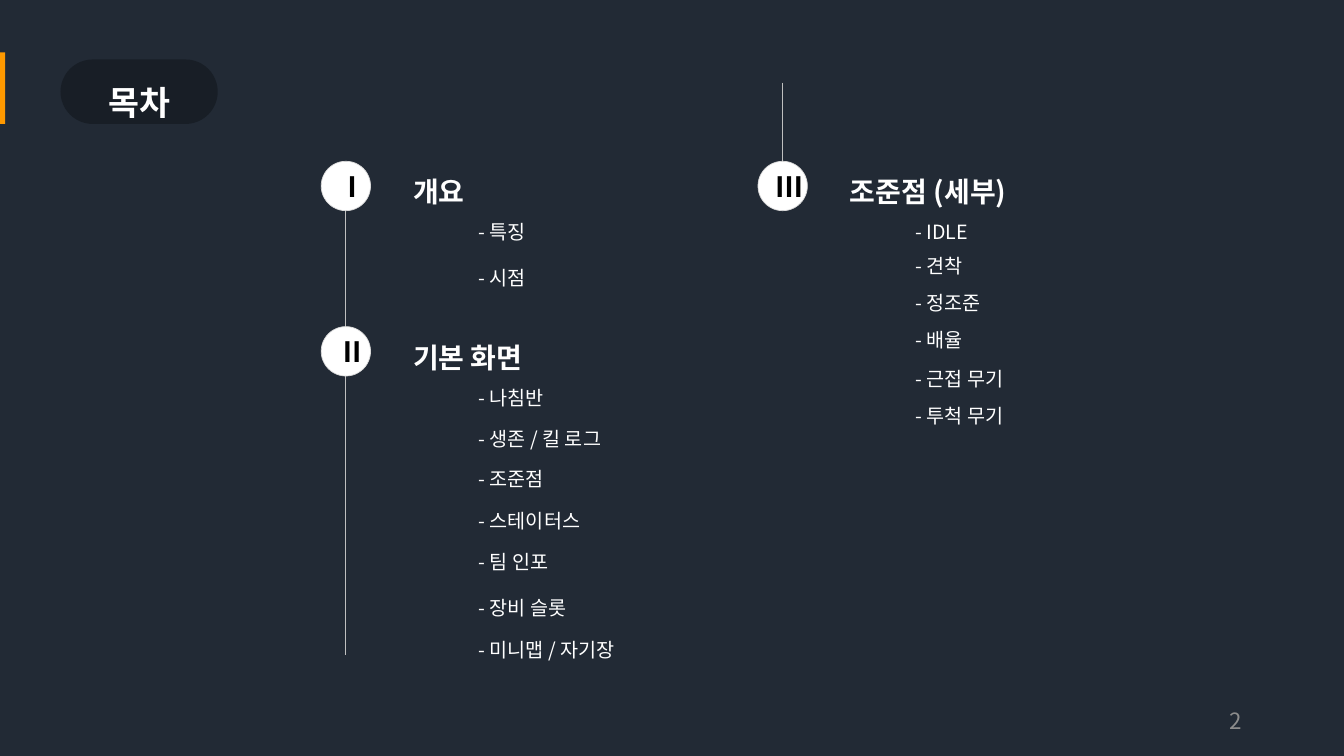
from lxml.etree import SubElement
from pptx import Presentation
from pptx.dml.color import RGBColor
from pptx.enum.shapes import MSO_CONNECTOR as Connector, MSO_SHAPE as Shape
from pptx.enum.text import MSO_ANCHOR as Anchor, MSO_AUTO_SIZE as AutoSize, PP_ALIGN as Align
from pptx.oxml.ns import qn
from pptx.util import Inches, Pt

NAVY = RGBColor(0x22, 0x2A, 0x35)
DARK = RGBColor(0x18, 0x1E, 0x26)
ORANGE = RGBColor(0xFF, 0x99, 0x00)
WHITE = RGBColor(0xFF, 0xFF, 0xFF)
BLACK = RGBColor(0, 0, 0)
RULE_GRAY = RGBColor(0xBF, 0xBF, 0xBF)
RIM_GRAY = RGBColor(0xD9, 0xD9, 0xD9)
NUMBER_GRAY = RGBColor(0x8C, 0x8C, 0x8C)

COLUMNS, ROWS = 40, 30
SECOND_HALF = 13  # columns between the left and the right half of the contents
ITEM_WIDTH = 5.64

# numeral, heading, heading width, first column, circle row, items (label, row, width)
SECTIONS = [
    ("Ⅰ", "개요", ITEM_WIDTH, 0, 6.4, [
        ("특징", 8.08, ITEM_WIDTH), ("시점", 9.88, ITEM_WIDTH)]),
    ("Ⅱ", "기본 화면", ITEM_WIDTH, 0, 12.96, [
        ("나침반", 14.64, ITEM_WIDTH), ("생존 / 킬 로그", 16.28, ITEM_WIDTH),
        ("조준점", 17.88, ITEM_WIDTH), ("스테이터스", 19.52, 5.22),
        ("팀 인포", 21.16, 3.81), ("장비 슬롯", 23, 4.35),
        ("미니맵 / 자기장", 24.64, ITEM_WIDTH)]),
    ("Ⅲ", "조준점 (세부)", 8.43, SECOND_HALF, 6.4, [
        ("IDLE", 8.08, ITEM_WIDTH), ("견착", 9.4, ITEM_WIDTH),
        ("정조준", 10.88, 3.48), ("배율", 12.36, 5.22),
        ("근접 무기", 13.88, 3.81), ("투척 무기", 15.36, 4.35)]),
]


class ContentsPage:
    font_name = "Noto Sans CJK KR"

    def __init__(self, deck):
        self.column = deck.slide_width / COLUMNS
        self.row = deck.slide_height / ROWS
        self.page = deck.slides.add_slide(deck.slide_layouts[6])
        fill = self.page.background.fill
        fill.solid()
        fill.fore_color.rgb = NAVY

    def place(self, left, top, width, height):
        """Turn grid columns and rows into slide lengths."""
        return (round(left * self.column), round(top * self.row),
                round(width * self.column), round(height * self.row))

    def set_text(self, frame, text, size, color, bold=False, align=Align.LEFT, spacing=None):
        frame.word_wrap = True
        para = frame.paragraphs[0]
        para.text = text
        para.alignment = align
        para.line_spacing = spacing
        font = para.font
        font.name, font.size, font.bold = self.font_name, Pt(size), bold
        font.color.rgb = color
        defaults = para._p.pPr.find(qn("a:defRPr"))
        SubElement(defaults, qn("a:ea")).set("typeface", self.font_name)

    def text(self, text, left, top, width, height, size, bold=False):
        box = self.page.shapes.add_textbox(*self.place(left, top, width, height))
        box.text_frame.auto_size = AutoSize.SHAPE_TO_FIT_TEXT
        self.set_text(box.text_frame, text, size, WHITE, bold, spacing=1.5)

    def page_number(self, number):
        box = self.page.shapes.add_textbox(*self.place(28.26, 27.8, 9, 1.6))
        box.text_frame.vertical_anchor = Anchor.MIDDLE
        self.set_text(box.text_frame, number, 16, NUMBER_GRAY, align=Align.RIGHT)

    def shape(self, kind, left, top, width, height, color, rim=None):
        shape = self.page.shapes.add_shape(kind, *self.place(left, top, width, height))
        shape.shadow.inherit = False
        shape.fill.solid()
        shape.fill.fore_color.rgb = color
        if rim is None:
            shape.line.fill.background()
        else:
            shape.line.color.rgb = rim
            shape.line.width = Pt(0.5)
        shape.text_frame.vertical_anchor = Anchor.MIDDLE
        return shape

    def upright(self, column, top, bottom):
        x, start, _, length = self.place(column, top, 0, bottom - top)
        line = self.page.shapes.add_connector(Connector.STRAIGHT, x, start, x, start + length)
        line.line.color.rgb = RULE_GRAY
        line.line.width = Pt(0.5)
        SubElement(line._element.spPr, qn("a:effectLst"))

    def title(self, text):
        self.shape(Shape.RECTANGLE, 0, 2.08, 0.15, 2.84, ORANGE)
        pill = self.shape(Shape.ROUNDED_RECTANGLE, 1.8, 2.36, 4.68, 2.56, DARK)
        pill.adjustments[0] = 0.5
        self.set_text(pill.text_frame, text, 24, WHITE, True, Align.CENTER, 1.5)

    def section(self, numeral, heading, heading_width, first, top, items):
        circle = self.shape(Shape.OVAL, first + 9.56, top, 1.47, 1.96, WHITE, RIM_GRAY)
        self.set_text(circle.text_frame, numeral, 20, BLACK, True, Align.CENTER)
        self.text(heading, first + 12, top - 0.32, heading_width, 2.16, 20, bold=True)
        for label, row, width in items:
            self.text(f"- {label}", first + 13.95, row, width, 1.64, 14)


def main():
    deck = Presentation()
    deck.slide_width, deck.slide_height = Inches(13.33), Inches(7.5)
    contents = ContentsPage(deck)
    contents.upright(10.29, 7.04, 26)
    contents.upright(10.29 + SECOND_HALF, 3.28, 7.4)
    contents.title("목차")
    for section in SECTIONS:
        contents.section(*section)
    contents.page_number("2")
    deck.save("out.pptx")


if __name__ == "__main__":
    main()
